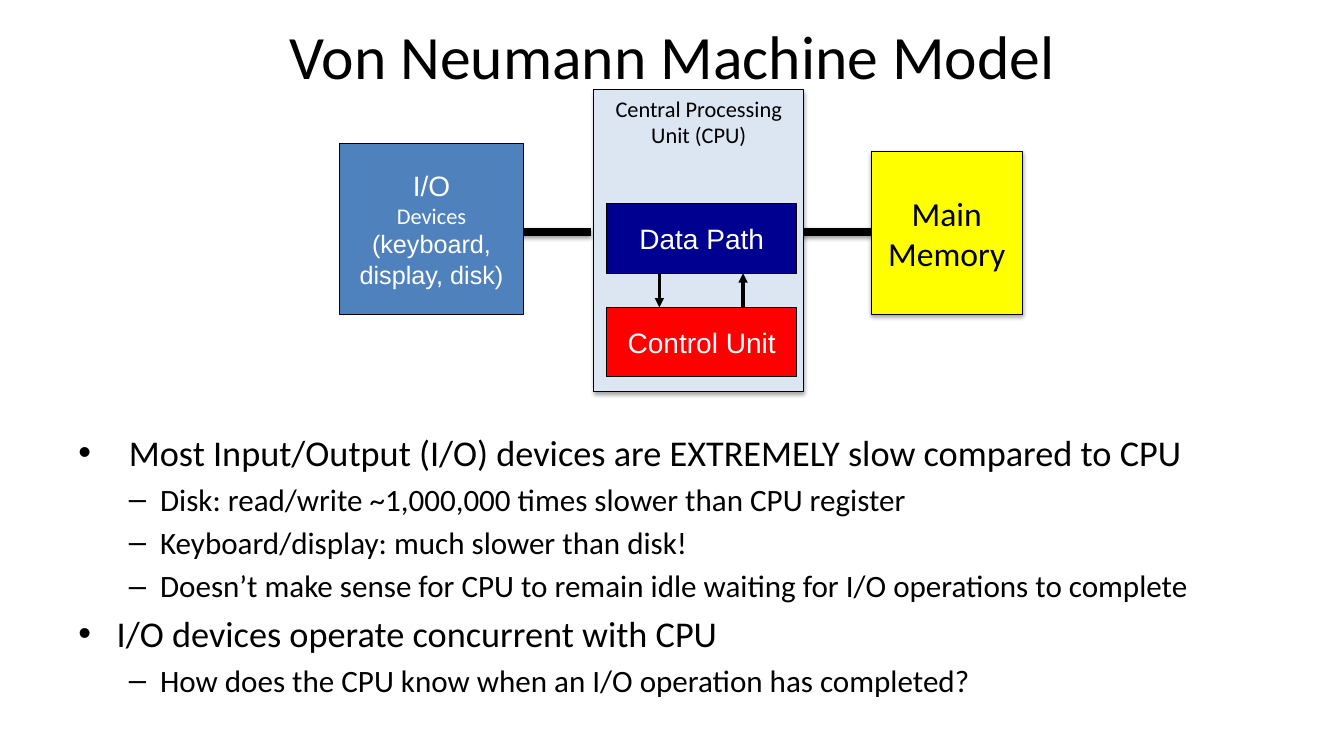
from lxml.etree import SubElement
from pptx import Presentation
from pptx.dml.color import RGBColor
from pptx.enum.shapes import MSO_CONNECTOR, MSO_SHAPE
from pptx.enum.text import MSO_ANCHOR, PP_ALIGN
from pptx.oxml.ns import qn
from pptx.util import Pt

PX = 9144  # EMU per px, 100 px to the inch
BLACK, WHITE = "000000", "FFFFFF"


def px(n):
    return n * PX


def color(hex_string):
    return RGBColor.from_string(hex_string)


def add_text(p, text, size=20, font="Calibri", fill=BLACK):
    r = p.add_run()
    r.text = text
    r.font.size = Pt(size)
    r.font.name = font
    r.font.color.rgb = color(fill)


class Slide:
    def __init__(self, prs):
        self.slide = prs.slides.add_slide(prs.slide_layouts[6])
        self.shapes = self.slide.shapes

    def effects(self, sp, alpha=0, dist=1.8):
        """Replace the theme shadow by a soft downward one, or by none if alpha is 0."""
        effects = SubElement(sp._element.spPr, qn("a:effectLst"))
        if alpha:
            shadow = SubElement(effects, qn("a:outerShdw"), blurRad=str(Pt(3.1)),
                                dist=str(Pt(dist)), dir="5400000", rotWithShape="0")
            rgb = SubElement(shadow, qn("a:srgbClr"), val=BLACK)
            SubElement(rgb, qn("a:alpha"), val=str(alpha * 1000))

    def text_frame(self, sp, anchor):
        tf = sp.text_frame
        tf.word_wrap = True
        tf.vertical_anchor = anchor
        return tf

    def paragraphs(self, tf, count):
        return [tf.paragraphs[0]] + [tf.add_paragraph() for _ in range(count - 1)]

    def box(self, x, y, w, h, fill, lines, anchor=MSO_ANCHOR.MIDDLE, shadow=0):
        """Draw a labelled rectangle; lines holds (text, format) pairs."""
        sp = self.shapes.add_shape(MSO_SHAPE.RECTANGLE, px(x), px(y), px(w), px(h))
        sp.fill.solid()
        sp.fill.fore_color.rgb = color(fill)
        sp.line.color.rgb = color(BLACK)
        sp.line.width = Pt(0.75)
        self.effects(sp, shadow)
        tf = self.text_frame(sp, anchor)
        for p, (text, style) in zip(self.paragraphs(tf, len(lines)), lines):
            p.alignment = PP_ALIGN.CENTER
            add_text(p, text, **style)

    def line(self, x1, y1, x2, y2, width, arrow=False, shadow=0):
        cx = self.shapes.add_connector(MSO_CONNECTOR.STRAIGHT, px(x1), px(y1), px(x2), px(y2))
        cx.line.color.rgb = color(BLACK)
        cx.line.width = Pt(width)
        if arrow:
            SubElement(cx.line._get_or_add_ln(), qn("a:tailEnd"), type="triangle")
        self.effects(cx, shadow, dist=1.6)

    def title(self, x, y, w, h, text):
        sp = self.shapes.add_textbox(px(x), px(y), px(w), px(h))
        p = self.text_frame(sp, MSO_ANCHOR.MIDDLE).paragraphs[0]
        p.alignment = PP_ALIGN.CENTER
        add_text(p, text, size=44)

    def bullets(self, x, y, w, h, items):
        """Draw a two-level list; items holds (level, left margin, hanging indent, text)."""
        sp = self.shapes.add_textbox(px(x), px(y), px(w), px(h))
        tf = self.text_frame(sp, MSO_ANCHOR.TOP)
        for p, (level, margin, hang, text) in zip(self.paragraphs(tf, len(items)), items):
            size = (25.9, 22.2)[level]
            p.level = level
            p.space_before = Pt(round(size * 0.2, 1))
            pPr = p._p.get_or_add_pPr()
            pPr.set("marL", str(px(margin)))
            pPr.set("indent", str(px(-hang)))
            SubElement(pPr, qn("a:buFont"), typeface="Arial")
            SubElement(pPr, qn("a:buChar"), char="•–"[level])
            add_text(p, text, size=size)


def main():
    prs = Presentation()
    prs.slide_width, prs.slide_height = px(1333), px(750)
    s = Slide(prs)
    s.title(242, -8, 850, 125, "Von Neumann Machine Model")

    for bus_x in (515, 793):
        s.line(bus_x, 230, bus_x + 71, 230, 6, shadow=38)

    s.box(589, 89, 208, 299, "DCE6F2", [("Central Processing Unit (CPU)", dict(size=16))],
          anchor=MSO_ANCHOR.TOP, shadow=35)
    s.box(864, 150, 150, 162, "FFFF00",
          [(word, dict(size=24)) for word in ("Main", "Memory")], shadow=35)
    label = dict(size=20, font="Arial", fill=WHITE)
    s.box(337, 142, 182, 170, "4F81BD", [
        ("I/O", label),
        ("Devices", dict(size=16, fill=WHITE)),
        ("(keyboard, display, disk)", dict(label, size=18)),
    ])
    for unit_y, fill, name in ((202, "000090", "Data Path"), (305, "FF0000", "Control Unit")):
        s.box(602, unit_y, 188, 69, fill, [(name, label)])

    s.line(654, 271, 654, 305, 2.25, arrow=True)
    s.line(737, 305, 737, 271, 2.25, arrow=True)

    detail = (1, 81, 31)
    s.bullets(68, 422, 1200, 300, [
        (0, 50, 50, "Most Input/Output (I/O) devices are EXTREMELY slow compared to CPU"),
        (*detail, "Disk: read/write ~1,000,000 times slower than CPU register"),
        (*detail, "Keyboard/display: much slower than disk!"),
        (*detail, "Doesn’t make sense for CPU to remain idle waiting for I/O operations to complete"),
        (0, 38, 38, "I/O devices operate concurrent with CPU"),
        (*detail, "How does the CPU know when an I/O operation has completed?"),
    ])
    prs.save("out.pptx")


if __name__ == "__main__":
    main()
